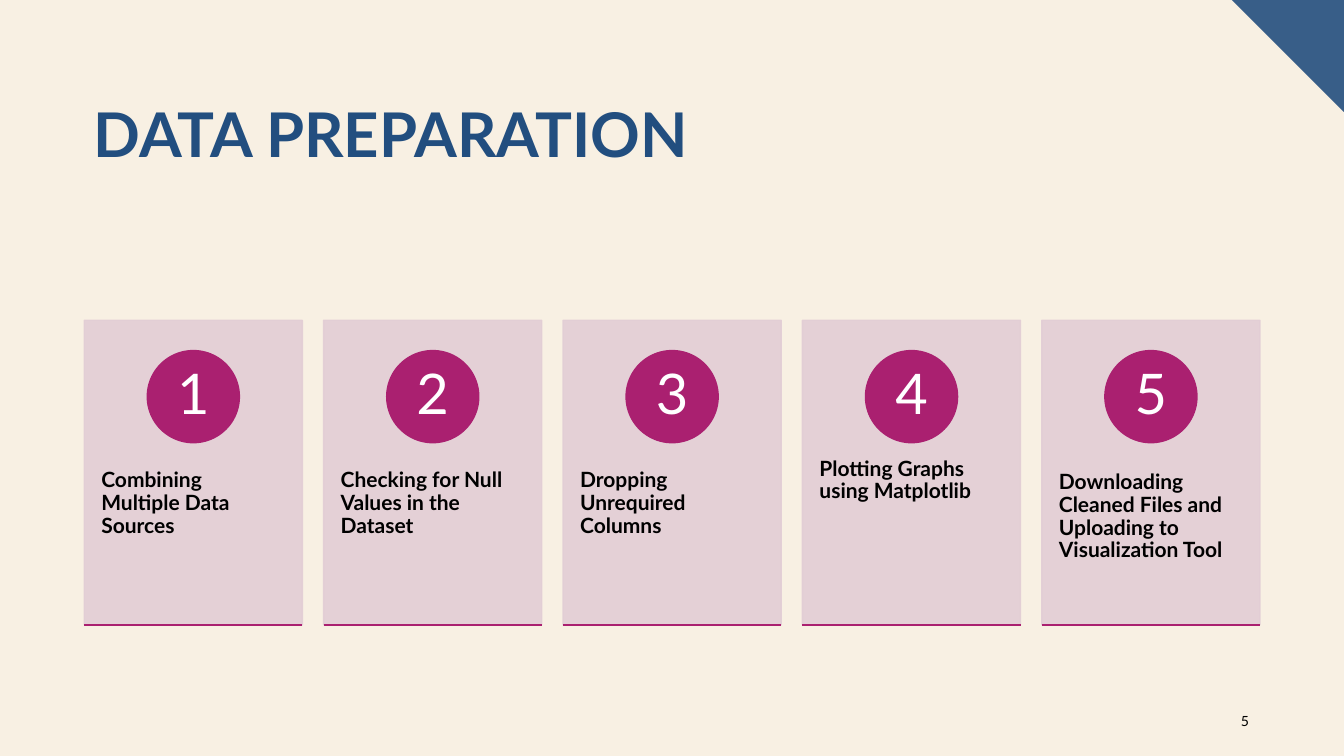
from lxml import etree
from pptx import Presentation
from pptx.dml.color import RGBColor
from pptx.enum.shapes import MSO_CONNECTOR, MSO_SHAPE
from pptx.enum.text import MSO_ANCHOR as ANCHOR, PP_ALIGN as ALIGN
from pptx.oxml.ns import qn
from pptx.util import Pt

WIDTH, HEIGHT = 960, 540
CREAM, NAVY, CORNER_BLUE = "F8F0E3", "224E7F", "385E88"
ROSE, MAGENTA, BLACK, WHITE = "E2CDD5", "AA2070", "000000", "FFFFFF"
STEPS = [
    "Combining Multiple Data Sources",
    "Checking for Null Values in the Dataset",
    "Dropping Unrequired Columns",
    "Plotting Graphs using Matplotlib",
    "Downloading Cleaned Files and Uploading to Visualization Tool",
]
CARD_LEFT, CARD_TOP, CARD_W, CARD_H, CARD_PITCH = 60.2, 228.8, 155.8, 217.6, 171
CIRCLE_TOP, CIRCLE_SIZE = 250.4, 65.8


def rgb(value):
    return RGBColor.from_string(value)


class Deck:
    font = "Lato"

    def __init__(self, slide, background):
        self.slide = slide
        fill = slide.background.fill
        fill.solid()
        fill.fore_color.rgb = rgb(background)

    def paint(self, sp, color, alpha=None, outlined=True):
        """Fill and outline a shape in one colour; alpha is a percentage."""
        sp.shadow.inherit = False
        fills = [sp.fill]
        if outlined:
            sp.line.width = Pt(1)
            fills.append(sp.line.fill)
        else:
            sp.line.fill.background()
        for fill in fills:
            fill.solid()
            fill.fore_color.rgb = rgb(color)
        if alpha:
            for clr in sp._element.spPr.iter(qn("a:srgbClr")):
                etree.SubElement(clr, qn("a:alpha"), val=str(alpha * 1000))

    def shape(self, kind, x, y, w, h, color, alpha=None):
        sp = self.slide.shapes.add_shape(kind, Pt(x), Pt(y), Pt(w), Pt(h))
        self.paint(sp, color, alpha)
        return sp

    def polygon(self, points, color):
        start, *rest = [(Pt(x), Pt(y)) for x, y in points]
        builder = self.slide.shapes.build_freeform(*start)
        builder.add_line_segments(rest, close=True)
        self.paint(builder.convert_to_shape(), color, outlined=False)

    def rule(self, x, y, w, color):
        """Draw a thin horizontal line."""
        line = self.slide.shapes.add_connector(
            MSO_CONNECTOR.STRAIGHT, Pt(x), Pt(y), Pt(x + w), Pt(y))
        line.line.width = Pt(1.5)
        line.line.color.rgb = rgb(color)
        etree.SubElement(line._element.spPr, qn("a:effectLst"))

    def set_text(self, sp, text, size, color, bold=False, align=ALIGN.LEFT,
                 anchor=ANCHOR.TOP, margins=(7.2, 3.6), spacing=0.9):
        tf = sp.text_frame
        tf.word_wrap = True
        tf.vertical_anchor = anchor
        tf.margin_left = tf.margin_right = Pt(margins[0])
        tf.margin_top = tf.margin_bottom = Pt(margins[1])
        p = tf.paragraphs[0]
        p.text = text
        p.alignment = align
        p.line_spacing = spacing
        p.font.name = self.font
        p.font.size = Pt(size)
        p.font.bold = bold
        p.font.color.rgb = rgb(color)

    def text(self, x, y, w, h, text, size, color, **style):
        sp = self.slide.shapes.add_textbox(Pt(x), Pt(y), Pt(w), Pt(h))
        self.set_text(sp, text, size, color, **style)

    def step_card(self, number, label):
        x = CARD_LEFT + (number - 1) * CARD_PITCH
        self.shape(MSO_SHAPE.RECTANGLE, x, CARD_TOP, CARD_W, CARD_H, ROSE, alpha=90)
        self.text(x, 311, CARD_W, 130.3, label, 15, BLACK, bold=True, margins=(12.2, 25.9))
        circle = self.shape(MSO_SHAPE.OVAL, x + (CARD_W - CIRCLE_SIZE) / 2, CIRCLE_TOP,
                            CIRCLE_SIZE, CIRCLE_SIZE, MAGENTA)
        self.set_text(circle, str(number), 40, WHITE, align=ALIGN.CENTER,
                      anchor=ANCHOR.MIDDLE, margins=(0, 0))
        self.rule(x, CARD_TOP + CARD_H, CARD_W, MAGENTA)


def main():
    prs = Presentation()
    prs.slide_width, prs.slide_height = Pt(WIDTH), Pt(HEIGHT)
    deck = Deck(prs.slides.add_slide(prs.slide_layouts[6]), CREAM)
    deck.polygon([(WIDTH - 80, 0), (WIDTH, 0), (WIDTH, 80)], CORNER_BLUE)
    deck.text(60, 70.6, 840, 104.4, "DATA PREPARATION", 44, NAVY, bold=True)
    deck.text(863.3, 500.4, 36, 28.8, "5", 10, BLACK, align=ALIGN.RIGHT,
              anchor=ANCHOR.MIDDLE, spacing=1.0)
    for number, label in enumerate(STEPS, 1):
        deck.step_card(number, label)
    prs.save("out.pptx")


if __name__ == "__main__":
    main()
